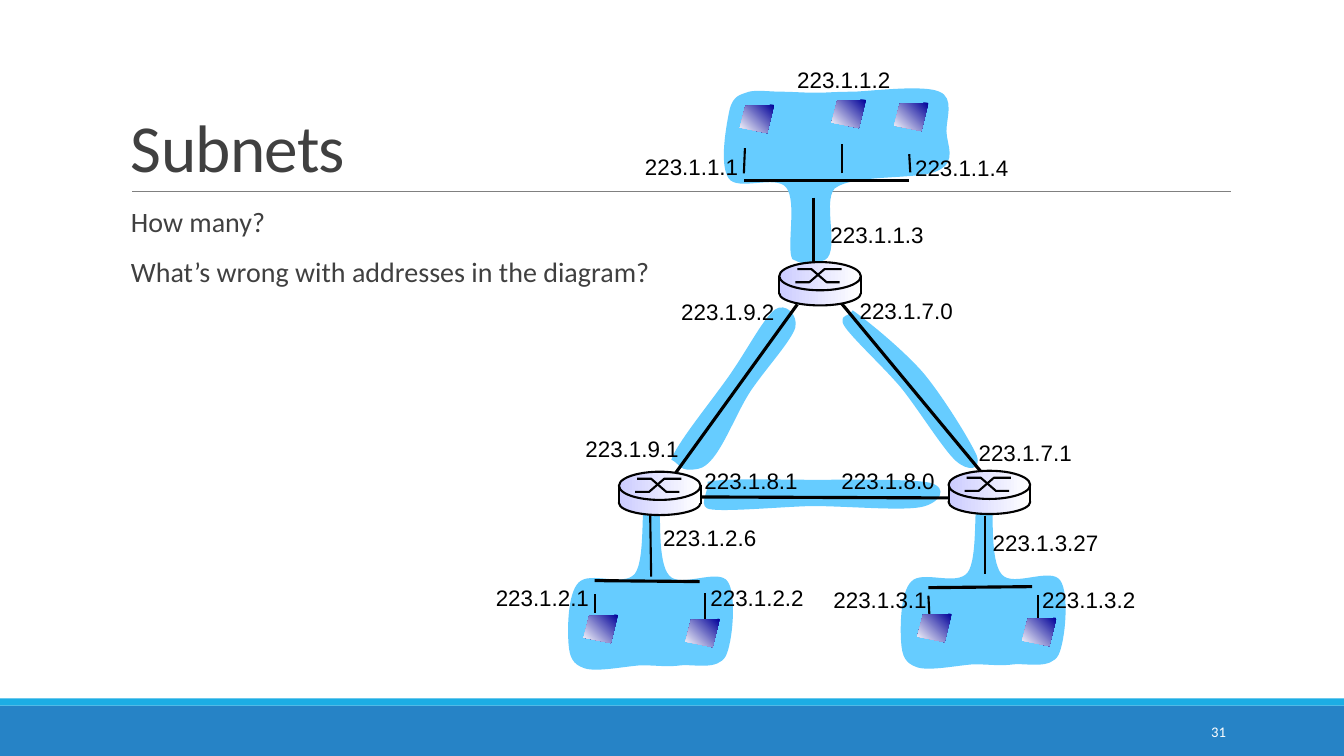
import pptx
import pptx.dml.color
import pptx.enum.shapes
import pptx.enum.text
import pptx.oxml.ns
import pptx.util
from lxml import etree

RGB = pptx.dml.color.RGBColor
SHAPE = pptx.enum.shapes.MSO_SHAPE
ANCHOR = pptx.enum.text.MSO_ANCHOR
ALIGN = pptx.enum.text.PP_ALIGN

BLACK = RGB(0x00, 0x00, 0x00)
WHITE = RGB(0xFF, 0xFF, 0xFF)
TEXT_GRAY = RGB(0x40, 0x40, 0x40)
RULE_GRAY = RGB(0x80, 0x80, 0x80)
FOOTER_BLUE = RGB(0x26, 0x83, 0xC6)
ACCENT_BLUE = RGB(0x1C, 0xAD, 0xE4)
SUBNET_BLUE = RGB(0x66, 0xCC, 0xFF)
ROUTER_LILAC = RGB(0xCC, 0xCC, 0xFF)
HOST_NAVY = RGB(0x00, 0x00, 0x99)

COLUMNS, ROWS = 133.33, 75
THIN, THICK = 1.5, 2.25


class SubnetSlide:
    def __init__(self, deck):
        self.slide = deck.slides.add_slide(deck.slide_layouts[6])
        self.shapes = self.slide.shapes
        self.column = deck.slide_width / COLUMNS
        self.row = deck.slide_height / ROWS

    def place(self, x, y):
        return round(x * self.column), round(y * self.row)

    def style(self, shape, fill=None, gradient=None, angle=0, line=None):
        shape.shadow.inherit = False
        if gradient:
            shape.fill.gradient()
            shape.fill.gradient_angle = angle
            for stop, color in zip(shape.fill.gradient_stops, gradient):
                stop.color.rgb = color
        elif fill is not None:
            shape.fill.solid()
            shape.fill.fore_color.rgb = fill
        else:
            shape.fill.background()
        if line:
            shape.line.color.rgb = BLACK
            shape.line.width = pptx.util.Pt(line)
        else:
            shape.line.fill.background()

    def preset(self, kind, x, y, width, height, **look):
        shape = self.shapes.add_shape(kind, *self.place(x, y), *self.place(width, height))
        self.style(shape, **look)

    def outline(self, points, closed=True, **look):
        first, *rest = [self.place(x, y) for x, y in points]
        builder = self.shapes.build_freeform(*first)
        builder.add_line_segments(rest, close=closed)
        shape = builder.convert_to_shape()
        self.style(shape, **look)
        return shape

    def subnet(self, knots, dx=0, dy=0):
        blob = self.outline([(x + dx, y + dy) for x, y in knots], fill=SUBNET_BLUE)
        segments = list(blob._element.iter(pptx.oxml.ns.qn("a:lnTo")))
        for i in range(0, len(knots) - 1, 3):
            curve = etree.Element(pptx.oxml.ns.qn("a:cubicBezTo"))
            segments[i].addprevious(curve)
            for segment in segments[i:i + 3]:
                curve.append(segment[0])
                segment.getparent().remove(segment)

    def link(self, x1, y1, x2, y2, width=THIN, color=BLACK):
        wire = self.shapes.add_connector(pptx.enum.shapes.MSO_CONNECTOR.STRAIGHT,
                                         *self.place(x1, y1), *self.place(x2, y2))
        wire.line.color.rgb = color
        wire.line.width = pptx.util.Pt(width)
        etree.SubElement(wire._element.spPr, pptx.oxml.ns.qn("a:effectLst"))

    def text(self, x, y, width, height, lines, size, color, font="Calibri", wrap=True,
             anchor=ANCHOR.TOP, align=ALIGN.LEFT, spacing=None, before=0, after=0, tracking=None):
        frame = self.shapes.add_textbox(*self.place(x, y), *self.place(width, height)).text_frame
        frame.word_wrap = wrap
        frame.vertical_anchor = anchor
        if not wrap:
            frame.auto_size = pptx.enum.text.MSO_AUTO_SIZE.SHAPE_TO_FIT_TEXT
        for i, line in enumerate(lines):
            paragraph = frame.add_paragraph() if i else frame.paragraphs[0]
            paragraph.text = line
            paragraph.alignment = align
            if spacing:
                paragraph.line_spacing = spacing
            paragraph.space_before = pptx.util.Pt(before if i else 0)
            paragraph.space_after = pptx.util.Pt(after)
            paragraph.font.name = font
            paragraph.font.size = pptx.util.Pt(size)
            paragraph.font.color.rgb = color
            if tracking:
                paragraph.font._rPr.set("spc", str(tracking))

    def address(self, x, y, value):
        width = 11.3 if len(value) == 9 else 12.5
        self.text(x, y, width, 3.7, [value], 16, BLACK, font="Arial", wrap=False)

    def router(self, x, y):
        self.shapes = self.slide.shapes.add_group_shape().shapes
        metal = dict(gradient=(ROUTER_LILAC, WHITE))
        self.preset(SHAPE.OVAL, x, y + 1.9, 8.1, 2.4, line=THIN, **metal)
        self.preset(SHAPE.RECTANGLE, x, y + 1.6, 8.1, 1.5, **metal)
        self.preset(SHAPE.OVAL, x, y, 8.1, 2.8, line=THIN, **metal)
        for arrow in (((1.6, 2), (3, 2), (4.5, 0.7), (6.2, 0.7)),
                      ((1.8, 0.7), (3.2, 0.7), (4.7, 2), (6, 2))):
            self.outline([(x + dx, y + dy) for dx, dy in arrow], closed=False, line=THIN)
        for side in (x, x + 8.1):
            self.link(side, y + 1.35, side, y + 3.2)
        self.shapes = self.slide.shapes

    def host(self, x, y):
        corners = ((3.4, 0), (0.55, 0.1), (0, 2.25), (2.7, 2.8), (3.4, 0))
        self.outline([(x + dx, y + dy) for dx, dy in corners],
                     gradient=(HOST_NAVY, WHITE), angle=225)


RIGHT_LINK = [(83.6, 32), (83.8, 32.9), (87.6, 36.3), (89.5, 38.6), (91.3, 40.9), (93.6, 44.6),
              (94.8, 45.7), (96, 46.8), (97.4, 46.7), (96.9, 45.2), (96.3, 43.8), (93.6, 39.4),
              (91.6, 37), (89.5, 34.6), (85.9, 31.7), (84.6, 30.8), (84, 31.6), (83.5, 31.1),
              (83.6, 32)]
LOWER_LINK = [(70.1, 50.4), (70.8, 50.9), (77, 50.3), (80.5, 50.2), (84, 50.2), (89.4, 50.7),
              (91.4, 50.3), (93.3, 49.9), (94.1, 48.4), (92.3, 47.9), (90.5, 47.5), (84.5, 47.6),
              (80.8, 47.6), (77.1, 47.6), (71.9, 47.4), (70.2, 47.8), (70.3, 48.8), (69.4, 49.9),
              (70.1, 50.4)]
LEFT_LINK = [(69.3, 46.5), (71.3, 46.1), (72.8, 41.2), (74.6, 38.6), (76.2, 36.3), (78.5, 33.8),
             (78.9, 32.5), (79.2, 31.2), (77.9, 30), (76.9, 30.7), (75.8, 31.5), (74.3, 34.4),
             (72.6, 36.9), (70.9, 39.4), (67.1, 44), (66.6, 45.6), (67.5, 46), (67.3, 46.9),
             (69.3, 46.5)]
TOP_LAN = [(81.5, 25.9), (83.6, 25.6), (81.5, 20.1), (82.8, 18.7), (84.7, 17.2), (91.3, 17.9),
           (93.1, 16.9), (95, 16), (93.9, 14.3), (93.9, 13), (93.9, 11.7), (94.7, 9.7),
           (93.2, 9.1), (91.7, 8.4), (86.8, 9), (84.7, 9.1), (82.7, 9.1), (82.2, 9.2),
           (80.9, 9.2), (79.7, 9.2), (78.6, 9.1), (77.5, 9.1), (76.4, 9.1), (75.1, 8.9),
           (74.3, 9.1), (73.5, 9.4), (72.8, 9.4), (72.4, 10.8), (72.1, 12.2), (71.3, 16.3),
           (72.3, 17.7), (73.2, 19), (77, 17.3), (78, 18.6), (79.1, 20), (78, 24.5),
           (78.6, 25.7), (79.5, 26.1), (79.4, 26.3), (81.5, 25.9)]
LOWER_LAN = [(64.1, 49.3), (63.5, 49.4), (64.1, 55.4), (63, 56.9), (61.9, 58.3), (58.5, 56.6),
             (57.4, 57.8), (56.3, 58.9), (56.3, 62.4), (56.4, 63.8), (56.5, 65.2), (56.8, 65.9),
             (58, 66.3), (59.2, 66.7), (62, 66.1), (63.6, 66), (65.2, 66), (66.2, 66.2),
             (67.6, 66), (69, 65.9), (71.2, 66.5), (72, 65.1), (72.7, 63.7), (73.1, 59),
             (72.2, 57.7), (71.3, 56.3), (67.5, 58.4), (66.4, 57.1), (65.2, 55.8), (65.6, 51),
             (65.4, 49.8), (65.3, 48.5), (65.7, 49.6), (65.5, 49.5), (65.3, 49), (64.7, 49.2),
             (64.1, 49.3)]
INTERFACES = [(90.3, 17.1, 90.2, 15.3), (73.9, 14.7, 73.8, 17.2), (80.7, 19.6, 80.7, 26.1),
              (83.5, 17.2, 83.5, 14.3), (64.5, 51, 64.6, 57.2), (59, 60.8, 59, 58.9),
              (69.9, 61.4, 69.9, 58.8), (97.7, 51.2, 97.7, 56.9), (92.2, 61, 92.1, 59.1),
              (103, 61.6, 103, 59)]
BACKBONE = [(66.9, 47.1, 79.1, 30.2), (97.4, 46.9, 83.4, 30), (94.2, 49.4, 69, 49.3)]
BUSES = [(90.2, 17.9, 73.8, 17.9), (69.4, 57.7, 59, 57.6), (102.4, 58.2, 92.1, 58.3)]
ADDRESSES = [(63, 14.7, "223.1.1.1"), (78.1, 6.1, "223.1.1.2"), (81.4, 21.4, "223.1.1.3"),
             (89.8, 14.8, "223.1.1.4"), (48.2, 57.5, "223.1.2.1"), (69.5, 57.5, "223.1.2.2"),
             (64.8, 51.5, "223.1.2.6"), (81.7, 57.7, "223.1.3.1"), (102.4, 57.7, "223.1.3.2"),
             (97.5, 52, "223.1.3.27"), (84.3, 29, "223.1.7.0"), (96.1, 43.1, "223.1.7.1"),
             (82.5, 45.9, "223.1.8.0"), (68.9, 45.9, "223.1.8.1"), (57.1, 42.7, "223.1.9.1"),
             (66.6, 29.1, "223.1.9.2")]
ROUTERS = [(77.3, 26), (94.1, 46.7), (61.4, 46.8)]
HOSTS = [(88.7, 10.2), (73.4, 10.4), (82.5, 9.9), (101.4, 61.3), (91, 60.9), (57.9, 61),
         (68, 61.4)]


def main():
    deck = pptx.Presentation()
    deck.slide_width = pptx.util.Inches(13.33)
    deck.slide_height = pptx.util.Inches(7.5)
    page = SubnetSlide(deck)

    page.preset(SHAPE.RECTANGLE, 0, 70, COLUMNS, 5, fill=FOOTER_BLUE)
    page.preset(SHAPE.RECTANGLE, 0, 69.3, COLUMNS, 0.7, fill=ACCENT_BLUE)
    page.link(13.1, 19, 122.1, 19, 0.5, RULE_GRAY)
    page.text(12, 3.1, 110, 15.9, ["Subnets"], 48, TEXT_GRAY,
              anchor=ANCHOR.BOTTOM, spacing=0.85, tracking=-50)
    page.text(12, 20.2, 54, 44, ["How many?", "What’s wrong with addresses in the diagram?"],
              20, TEXT_GRAY, spacing=0.9, before=12, after=2)

    for knots in (RIGHT_LINK, LOWER_LINK, LEFT_LINK, TOP_LAN, LOWER_LAN):
        page.subnet(knots)
    page.subnet(LOWER_LAN, dx=33, dy=-0.1)
    for ends in INTERFACES:
        page.link(*ends)
    for ends in BACKBONE:
        page.link(*ends, THICK)
    for label in ADDRESSES:
        page.address(*label)
    for spot in ROUTERS:
        page.router(*spot)
    for spot in HOSTS:
        page.host(*spot)
    page.text(108.3, 70.6, 14.3, 4, ["31"], 10.5, WHITE, anchor=ANCHOR.MIDDLE, align=ALIGN.RIGHT)
    for ends in BUSES:
        page.link(*ends, THICK)

    deck.save("out.pptx")


if __name__ == "__main__":
    main()
